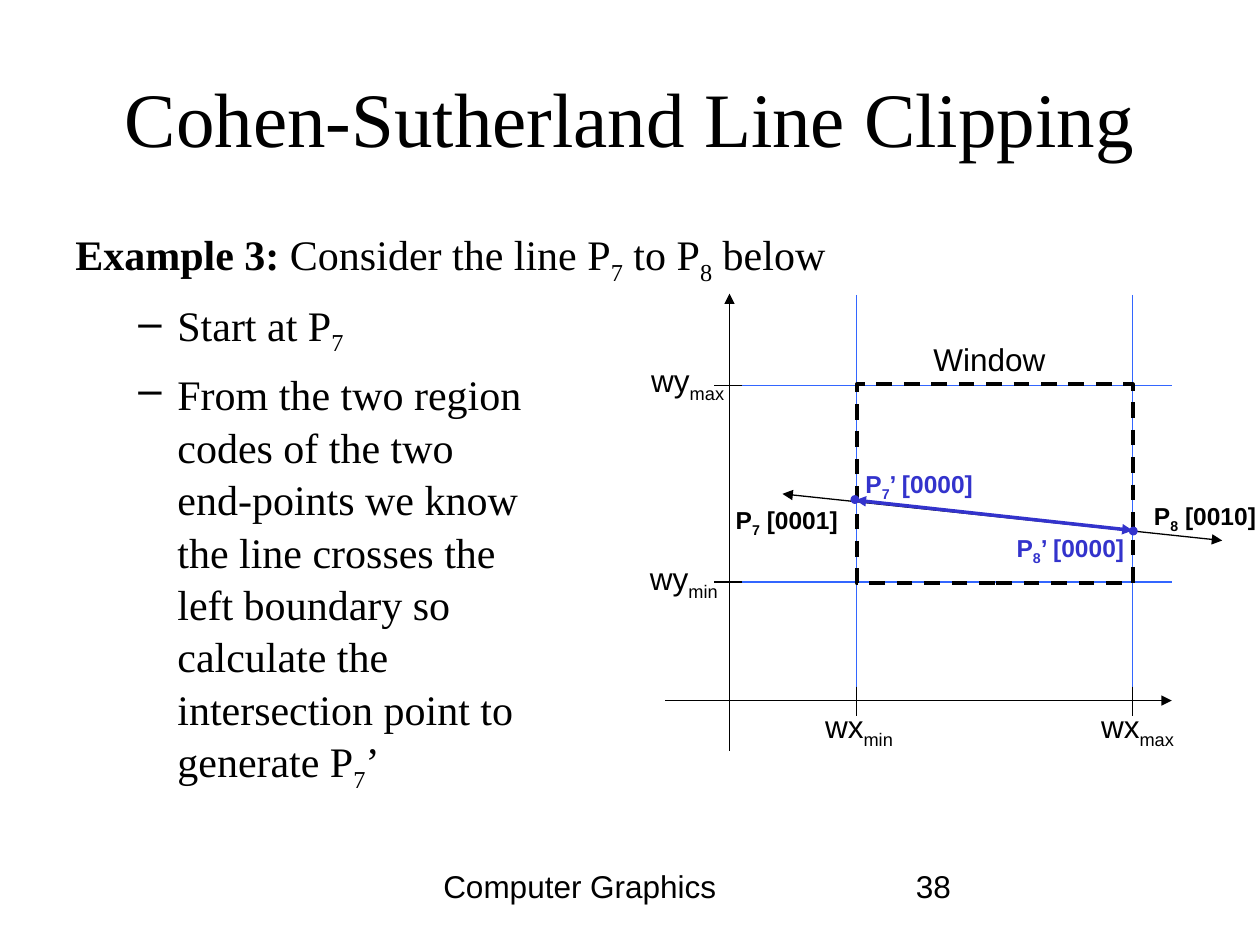
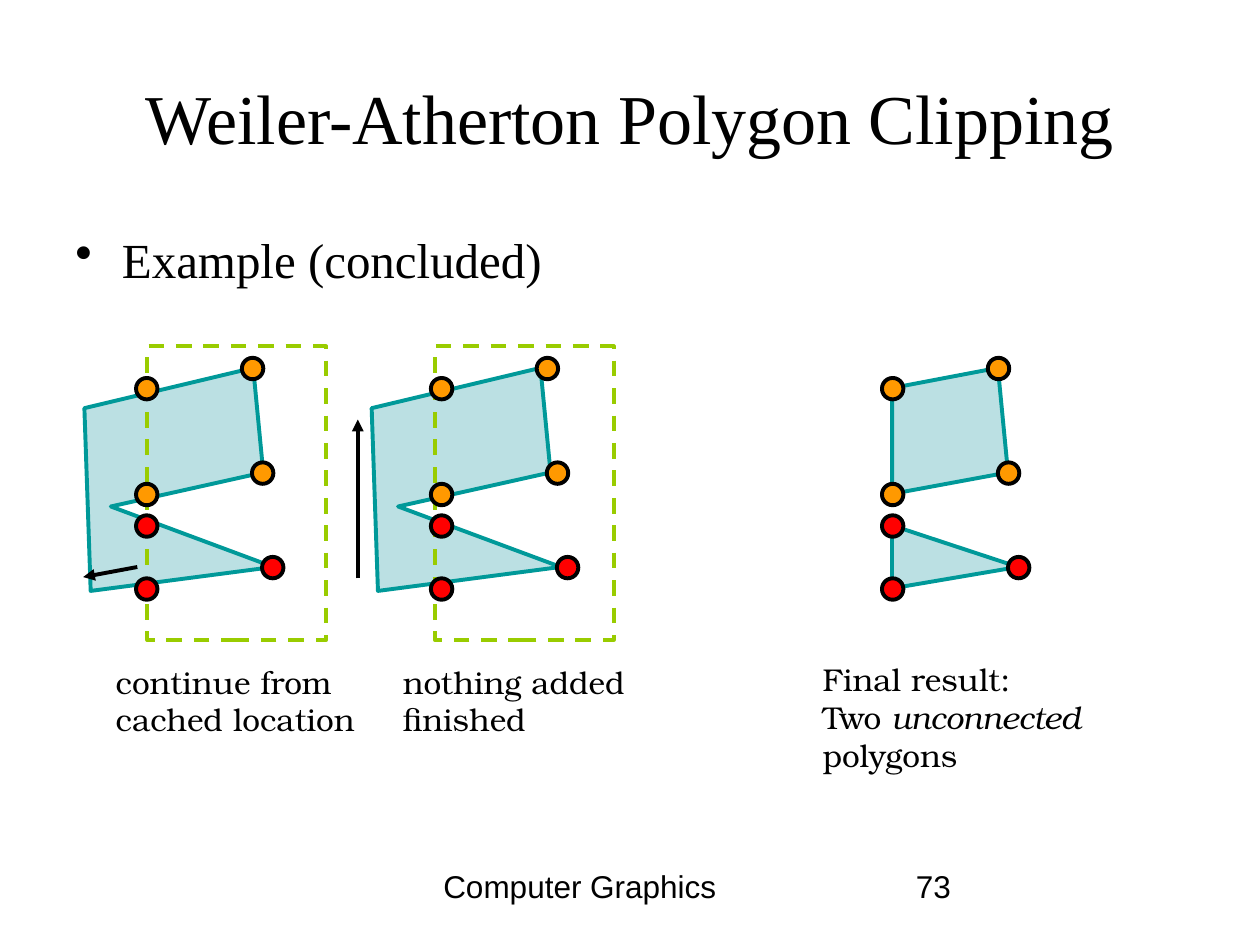
import pptx
import pptx.util
from pptx.dml.color import RGBColor
from pptx.enum.dml import MSO_LINE
from pptx.enum.shapes import MSO_CONNECTOR, MSO_SHAPE
from pptx.enum.text import MSO_ANCHOR, MSO_AUTO_SIZE, PP_ALIGN
from pptx.oxml.ns import qn
from lxml import etree

PX = 9144  # EMU in one px: 100 px to the inch

BLACK = RGBColor(0x00, 0x00, 0x00)
GRID_BLUE = RGBColor(0x33, 0x66, 0xFF)
CLIP_BLUE = RGBColor(0x33, 0x33, 0xCC)
PALE_TEAL = RGBColor(0xBB, 0xE0, 0xE3)
TEAL = RGBColor(0x00, 0x99, 0x99)
LIME = RGBColor(0x99, 0xCC, 0x00)
ORANGE = RGBColor(0xFF, 0x99, 0x00)
RED = RGBColor(0xFF, 0x00, 0x00)

SERIF, SANS, CAPTION = "Times New Roman", "Arial", "TeX Gyre Bonum"
MARKS = "_*/"  # first character of a piece: subscript, bold, italic


class Deck:
    def __init__(self):
        self.prs = pptx.Presentation()
        self.prs.slide_width, self.prs.slide_height = 1000 * PX, 750 * PX
        self.s = None

    def slide(self, title, title_size, number):
        self.s = self.prs.slides.add_slide(self.prs.slide_layouts[6])
        self.text((342, 683, 316, 51), ["Computer Graphics"])
        self.text((717, 683, 233, 51), [str(number)])
        tf = self.text((50, 30, 900, 125), [title], title_size, SERIF)
        tf.vertical_anchor = MSO_ANCHOR.MIDDLE
        tf.paragraphs[0].alignment = PP_ALIGN.CENTER

    def text(self, box, lines, size=18, font=SANS, color=BLACK, bold=None):
        """Each line is a string, or a tuple of pieces that may start with a mark."""
        tf = self.s.shapes.add_textbox(*(n * PX for n in box)).text_frame
        tf.word_wrap = True
        for i, line in enumerate(lines):
            p = tf.add_paragraph() if i else tf.paragraphs[0]
            if isinstance(line, str):
                p.text = line
            else:
                self.pieces(p, line)
            for r in p.runs:
                r.font.size, r.font.name = pptx.util.Pt(size), font
                r.font.color.rgb = color
                if bold:
                    r.font.bold = True
        return tf

    def pieces(self, p, pieces):
        for piece in pieces:
            mark = piece[0] if piece[0] in MARKS else ""
            r = p.add_run()
            r.text = piece[len(mark):]
            if mark == "_":
                r._r.get_or_add_rPr().set("baseline", "-25000")
            elif mark == "*":
                r.font.bold = True
            elif mark == "/":
                r.font.italic = True

    def label(self, box, lines, *style):
        """Text that does not wrap, in a box that fits it."""
        tf = self.text(box, lines, *style)
        tf.word_wrap = False
        tf.auto_size = MSO_AUTO_SIZE.SHAPE_TO_FIT_TEXT

    def body(self, lines, size):
        tf = self.text((50, 175, 900, 495), lines, size, SERIF)
        for p in tf.paragraphs:
            p.line_spacing = 1.04
        return tf.paragraphs

    def bullet(self, p, char, margin, hanging):
        pPr = p._p.get_or_add_pPr()
        pPr.set("marL", str(margin * PX))
        pPr.set("indent", str(-hanging * PX))
        clr = etree.SubElement(pPr, qn("a:buClr"))
        etree.SubElement(clr, qn("a:srgbClr")).set("val", str(BLACK))
        etree.SubElement(pPr, qn("a:buChar")).set("char", char)

    def line(self, start, end, color=BLACK, width=0.75, ends=()):
        """ends names the arrowheads: headEnd at the start, tailEnd at the end."""
        points = (n * PX for n in start + end)
        c = self.s.shapes.add_connector(MSO_CONNECTOR.STRAIGHT, *points)
        c.line.color.rgb, c.line.width = color, pptx.util.Pt(width)
        ln = c.line._get_or_add_ln()
        for end_name in ends:
            etree.SubElement(ln, qn("a:" + end_name)).set("type", "triangle")
        etree.SubElement(c._element.spPr, qn("a:effectLst"))

    def paint(self, sp, fill=None, color=None, width=2.25):
        sp.shadow.inherit = False
        if fill is None:
            sp.fill.background()
        else:
            sp.fill.solid()
            sp.fill.fore_color.rgb = fill
        if color is None:
            sp.line.fill.background()
        else:
            sp.line.color.rgb, sp.line.width = color, pptx.util.Pt(width)

    def dashed_box(self, box, color):
        sp = self.s.shapes.add_shape(MSO_SHAPE.RECTANGLE, *(n * PX for n in box))
        self.paint(sp, color=color)
        sp.line.dash_style = MSO_LINE.DASH

    def dot(self, x, y, size, fill, color=None):
        """A circle centred on (x, y)."""
        box = (x - size // 2, y - size // 2, size, size)
        sp = self.s.shapes.add_shape(MSO_SHAPE.OVAL, *(n * PX for n in box))
        self.paint(sp, fill, color)

    def polygon(self, points, dx):
        points = [(x + dx, y) for x, y in points]
        fb = self.s.shapes.build_freeform(*points[0], scale=float(PX))
        fb.add_line_segments(points[1:], close=True)
        self.paint(fb.convert_to_shape(), PALE_TEAL, TEAL)


def cohen_sutherland(deck):
    deck.slide("Cohen-Sutherland Line Clipping", 44, 38)
    steps = deck.body([
        ("*Example 3: ", "Consider the line P", "_7", " to P", "_8", " below"),
        ("Start at P", "_7"),
        "From the two region \vcodes of the two \vend-points we know \v"
        "the line crosses the \vleft boundary so \vcalculate the \v"
        "intersection point to \vgenerate P",
    ], 24)
    for p in steps[1:]:
        p.space_before = pptx.util.Pt(6)
        deck.bullet(p, "–", 81, 31)
    last = steps[2]
    deck.pieces(last, ("_7", "’"))
    for r in last.runs[-2:]:
        r.font.size, r.font.name = pptx.util.Pt(24), SERIF
        r.font.color.rgb = BLACK

    left, right, top, bottom = 680, 899, 306, 462
    for x in (left, right):
        deck.line((x, 234), (x, 549), GRID_BLUE)
    for y in (top, bottom):
        deck.line((930, y), (586, y), GRID_BLUE)
    deck.line((528, 556), (930, 556), ends=["tailEnd"])
    deck.line((579, 596), (579, 233), ends=["tailEnd"])
    deck.dashed_box((left, 305, right - left, 158), BLACK)
    for y in (top, bottom):
        deck.line((589, y), (567, y))
    for x in (left, right):
        deck.line((x, 545), (x, 568))

    for x, y, width, axis, limit in (
            (507, 282, 78, "wy", "max"), (506, 439, 74, "wy", "min"),
            (645, 556, 74, "wx", "min"), (864, 556, 78, "wx", "max")):
        deck.label((x, y, width, 44), [(axis, "_" + limit)])
    deck.label((731, 265, 109, 40), ["Window"])

    both = ["headEnd", "tailEnd"]
    deck.line((621, 392), (970, 429), ends=both)
    for x, y, width, point, code, color in (
            (677, 367, 106, "7", "’ [0000]", CLIP_BLUE),
            (574, 396, 101, "7", " [0001]", BLACK),
            (906, 393, 101, "8", " [0010]", BLACK),
            (797, 418, 106, "8", "’ [0000]", CLIP_BLUE)):
        deck.label((x, y, width, 37), [("P", "_" + point, code)],
                   14, SANS, color, True)
    deck.dot(678, 396, 7, CLIP_BLUE)
    deck.dot(899, 421, 7, CLIP_BLUE)
    deck.line((679, 397), (right, 421), CLIP_BLUE, 2, both)


def weiler_atherton(deck):
    deck.slide("Weiler-Atherton Polygon Clipping", 40, 73)
    deck.bullet(deck.body(["Example (concluded)"], 28)[0], "•", 37, 37)

    subject = [(67, 324), (201, 292), (209, 375), (88, 402), (217, 450), (72, 469)]
    upper = [(0, 308), (84, 292), (92, 375), (0, 392)]
    lower = [(0, 417), (100, 450), (0, 467)]
    final_x = 708

    for piece in (upper, lower):
        deck.polygon(piece, final_x)
    stages = (
        (0, (109, 450), (66, 458), 210, ["continue from", "cached location"]),
        (228, (284, 459), (284, 333), 196, ["nothing added", "finished"]),
    )
    for dx, start, end, width, caption in stages:
        deck.polygon(subject, dx)
        deck.dashed_box((117 + dx, 275, 142, 233), LIME)
        deck.line(start, end, width=2.25, ends=["tailEnd"])
        deck.label((82 + dx, 521, width, 70), caption, 18, CAPTION)
    for dx in (116, 350, final_x):
        for piece, fill in ((upper, ORANGE), (lower, RED)):
            for x, y in piece:
                deck.dot(x + dx, y, 17, fill, BLACK)
    deck.label((643, 519, 228, 100),
               ["Final result:", ("Two ", "/unconnected"), "polygons"],
               18, CAPTION)


def main():
    deck = Deck()
    cohen_sutherland(deck)
    weiler_atherton(deck)
    deck.prs.save("out.pptx")


if __name__ == "__main__":
    main()
